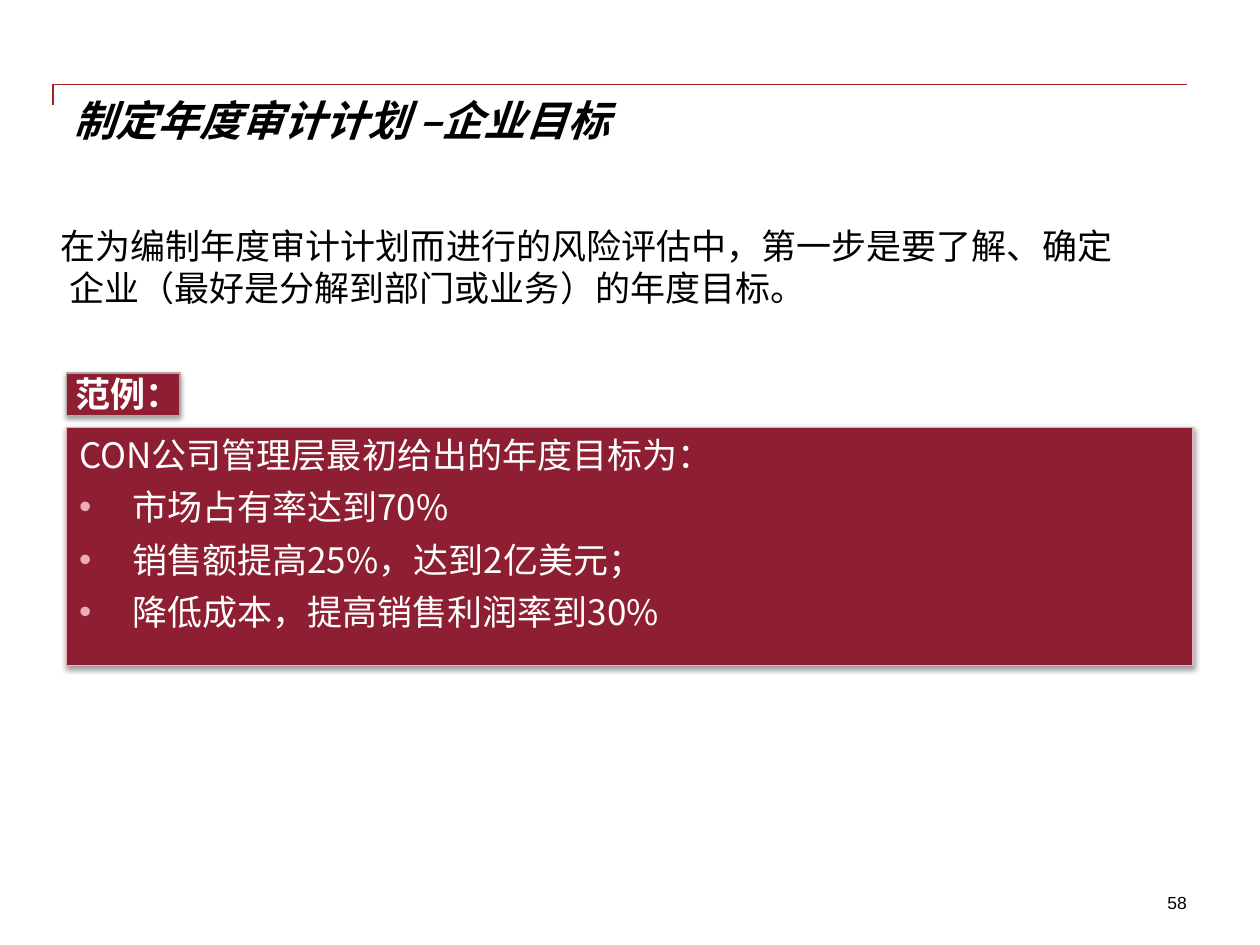
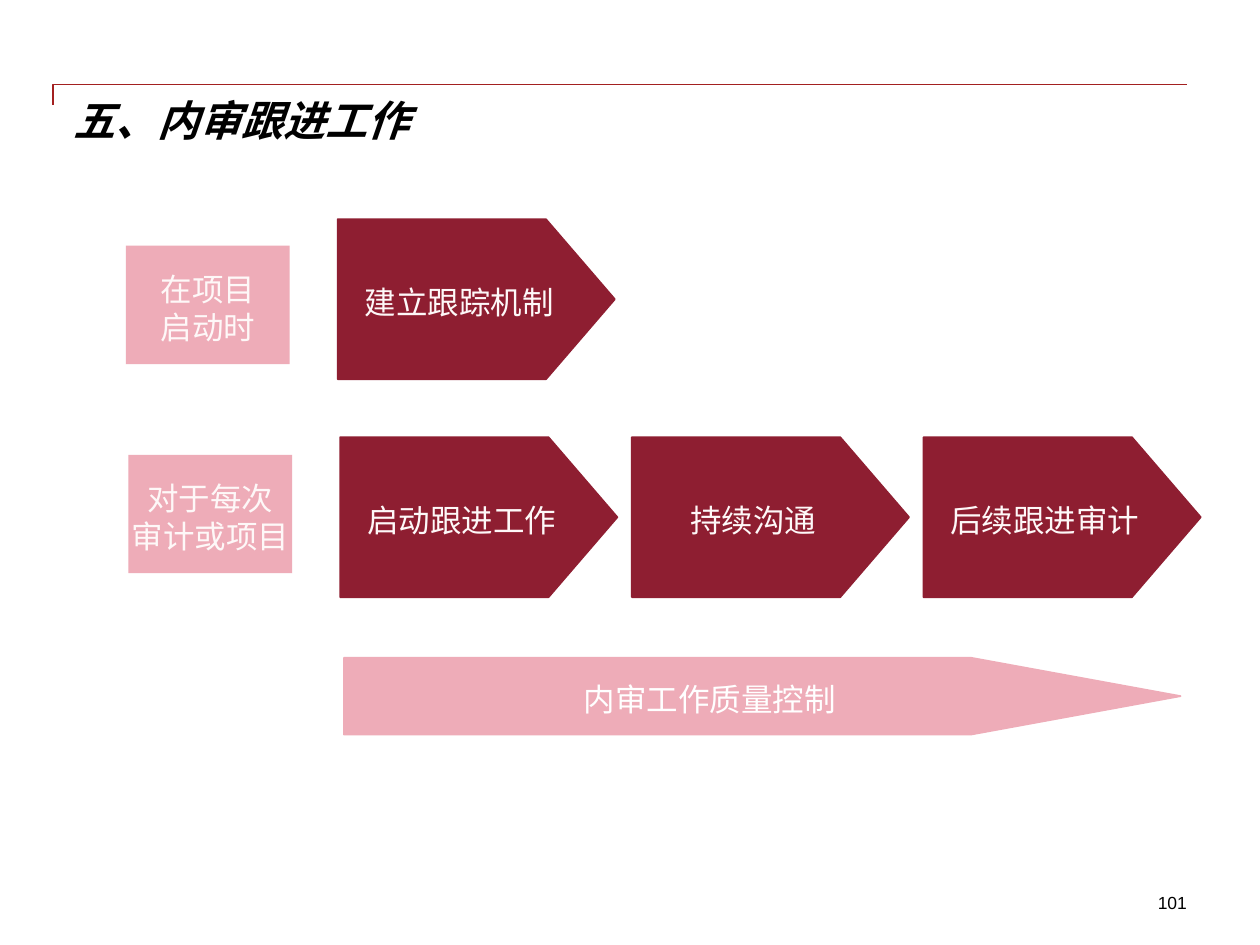
from collections import namedtuple

from lxml import etree
from pptx import Presentation
from pptx import util as u
from pptx.dml import color
from pptx.enum import shapes, text
from pptx.oxml import ns

# The page is a grid of 100 columns and 75 rows of square cells.
CELL = u.Inches(0.1)
COLUMNS, ROWS = 100, 75
CRIMSON, PINK, RULE = "8E1E31", "EEACB8", "A32020"
BLACK, WHITE, PALE = "000000", "FFFFFF", "FEF8F8"
CJK, LATIN, SERIF = "Noto Sans CJK SC", "Arial", "TeX Gyre Schola"
LEFT, CENTER, RIGHT = text.PP_ALIGN.LEFT, text.PP_ALIGN.CENTER, text.PP_ALIGN.RIGHT
RECT, PLATE = shapes.MSO_SHAPE.RECTANGLE, shapes.MSO_SHAPE.PENTAGON

LABEL_FORMAT = dict(size=18, ink=PALE, align=CENTER, wrap=False, middle=True,
                    insets=(1, 0.5, 1, 0))


class Box(namedtuple("Box", "left top width height")):
    def area(self, left, top, width, height):
        return Box(self.left + left, self.top + top, width, height)

    def emu(self):
        return [cells(value) for value in self]


PAGE = Box(0, 0, COLUMNS, ROWS)


def cells(count):
    return u.Emu(round(count * CELL))


def rgb(value):
    return color.RGBColor.from_string(value)


def add_xml(parent, tag, **attributes):
    return etree.SubElement(parent, ns.qn(tag), attributes)


def style_font(font, size, name, ink, **flags):
    font.color.rgb = rgb(ink)
    values = dict(size=u.Pt(size), name=name, **flags)
    for key, value in values.items():
        setattr(font, key, value)


def set_frame(frame, insets=(0, 0, 0, 0), wrap=True, middle=False):
    values = dict(zip(("margin_left", "margin_top", "margin_right", "margin_bottom"),
                      map(cells, insets)))
    values["word_wrap"] = wrap
    values["auto_size"] = text.MSO_AUTO_SIZE.NONE
    values["vertical_anchor"] = text.MSO_ANCHOR.MIDDLE if middle else text.MSO_ANCHOR.TOP
    for key, value in values.items():
        setattr(frame, key, value)


def write(frame, lines, size, ink=BLACK, font=CJK, align=LEFT, indent=None,
          before=0, spaced=True, bold=False, italic=False, **frame_format):
    """Fill a frame with one paragraph per line; indent is (margin, first line)."""
    set_frame(frame, **frame_format)
    frame.text = lines
    for index, para in enumerate(frame.paragraphs):
        para.alignment = align
        if spaced:
            para.line_spacing = u.Pt(size * 1.2)
        if index and before:
            para.space_before = u.Pt(before)
        if indent:
            margin, first = map(cells, indent)
            props = para._p.get_or_add_pPr()
            props.set("marL", str(margin))
            props.set("indent", str(first))
        for span in para.runs:
            style_font(span.font, size, font, ink, bold=bold, italic=italic)
            add_xml(span._r.get_or_add_rPr(), "a:ea", typeface=CJK)


def add_bullet(para, fill):
    props = para._p.get_or_add_pPr()
    bullet_color = add_xml(props, "a:buClr")
    add_xml(bullet_color, "a:srgbClr", val=fill)
    add_xml(props, "a:buFont", typeface=LATIN)
    add_xml(props, "a:buChar", char="•")


def add_text(page, box, lines, **format_values):
    holder = page.shapes.add_textbox(*box.emu())
    write(holder.text_frame, lines, **format_values)


def add_block(page, box, lines, fill, kind=RECT, line=None, line_width=1,
              adjust=None, **format_values):
    block = page.shapes.add_shape(kind, *box.emu())
    block.shadow.inherit = False
    block.fill.solid()
    block.fill.fore_color.rgb = rgb(fill)
    if line:
        block.line.color.rgb = rgb(line)
        block.line.width = u.Pt(line_width)
    else:
        block.line.fill.background()
    if adjust:
        block.adjustments[0] = adjust
    write(block.text_frame, lines, **format_values)
    return block


def add_shadow(block):
    effects = block._element.spPr.find(ns.qn("a:effectLst"))
    shadow = add_xml(effects, "a:outerShdw", blurRad=str(u.Pt(3.1)),
                     dist=str(u.Pt(1.6)), dir="5400000", rotWithShape="0")
    tint = add_xml(shadow, "a:srgbClr", val=BLACK)
    add_xml(tint, "a:alpha", val="38000")


def add_title_rule(page, box):
    """Draw the thin line above the title with its short hook at the left."""
    left, top, width, height = box.emu()
    outline = page.shapes.build_freeform(left, top + height)
    outline.add_line_segments([(left, top), (left + width, top)], close=False)
    rule = outline.convert_to_shape()
    rule.shadow.inherit = False
    rule.fill.background()
    rule.line.color.rgb = rgb(RULE)
    rule.line.width = u.Pt(1)


def add_page(deck, title, number, title_font):
    page = deck.slides.add_slide(deck.slide_layouts[5])
    add_title_rule(page, PAGE.area(4.2, 6.7, 90, 1.6))
    holder = page.shapes.title
    box = PAGE.area(5.8, 7.5, 88.3, 10)
    for key, value in zip(("left", "top", "width", "height"), box.emu()):
        setattr(holder, key, value)
    write(holder.text_frame, title, size=24, font=title_font,
          spaced=False, bold=True, italic=True)
    add_text(page, PAGE.area(77.5, 70.8, 16.7, 1.7), number,
             size=10, font=LATIN, align=RIGHT)
    return page


def add_example(page, box):
    tag = add_block(page, box.area(0, 0, 9, 3.4), "范例：", CRIMSON, line="B2A8A7",
                    line_width=0.75, size=20, ink=WHITE, bold=True,
                    insets=(0.7, 0, 0.7, 0))
    goals = "\n".join(["CON公司管理层最初给出的年度目标为：", "市场占有率达到70%",
                       "销售额提高25%，达到2亿美元；", "降低成本，提高销售利润率到30%"])
    panel = add_block(page, box.area(0, 4.3, box.width, box.height - 4.3), goals,
                      CRIMSON, line="E9B2B2", line_width=0.75, size=20, ink=WHITE,
                      indent=(4.2, -4.2), before=6, insets=(1, 0.5, 1, 0.5))
    for para in panel.text_frame.paragraphs[1:]:
        add_bullet(para, PINK)
    for block in (tag, panel):
        add_shadow(block)


def build_goals_page(deck):
    page = add_page(deck, "制定年度审计计划 –企业目标", "58", LATIN)
    add_text(page, PAGE.area(1.7, 17.8, 88.3, 10),
             "在为编制年度审计计划而进行的风险评估中，第一步是要了解、确定"
             "企业（最好是分解到部门或业务）的年度目标。",
             size=20, indent=(3.8, -0.7))
    add_example(page, PAGE.area(5.3, 29.6, 89.4, 23.2))


def add_stage(page, box, label, label_top, steps):
    """Place a pink label and, to its right, a row of equally spaced arrows."""
    add_block(page, box.area(0, label_top, 13, 9.4), label, PINK, **LABEL_FORMAT)
    for index, step in enumerate(steps):
        add_block(page, box.area(16.8 + index * 23.15, 0, 22, box.height), step,
                  CRIMSON, PLATE, CRIMSON, adjust=0.43, **LABEL_FORMAT)


def build_follow_up_page(deck):
    page = add_page(deck, "五、内审跟进工作", "101", SERIF)
    add_stage(page, PAGE.area(10, 17.4, 85.1, 12.7), "在项目\n启动时", 2.1,
              ["建立跟踪机制"])
    add_stage(page, PAGE.area(10.2, 34.7, 85.1, 12.7), "对于每次\n审计或项目", 1.4,
              ["启动跟进工作", "持续沟通", "后续跟进审计"])
    add_block(page, PAGE.area(27.3, 52.2, 66.4, 6.1), "内审工作质量控制", PINK, PLATE,
              PINK, adjust=2.73, **{**LABEL_FORMAT, "ink": WHITE})


def main():
    deck = Presentation()
    deck.slide_width, deck.slide_height = cells(COLUMNS), cells(ROWS)
    build_goals_page(deck)
    build_follow_up_page(deck)
    deck.save("out.pptx")


if __name__ == "__main__":
    main()
